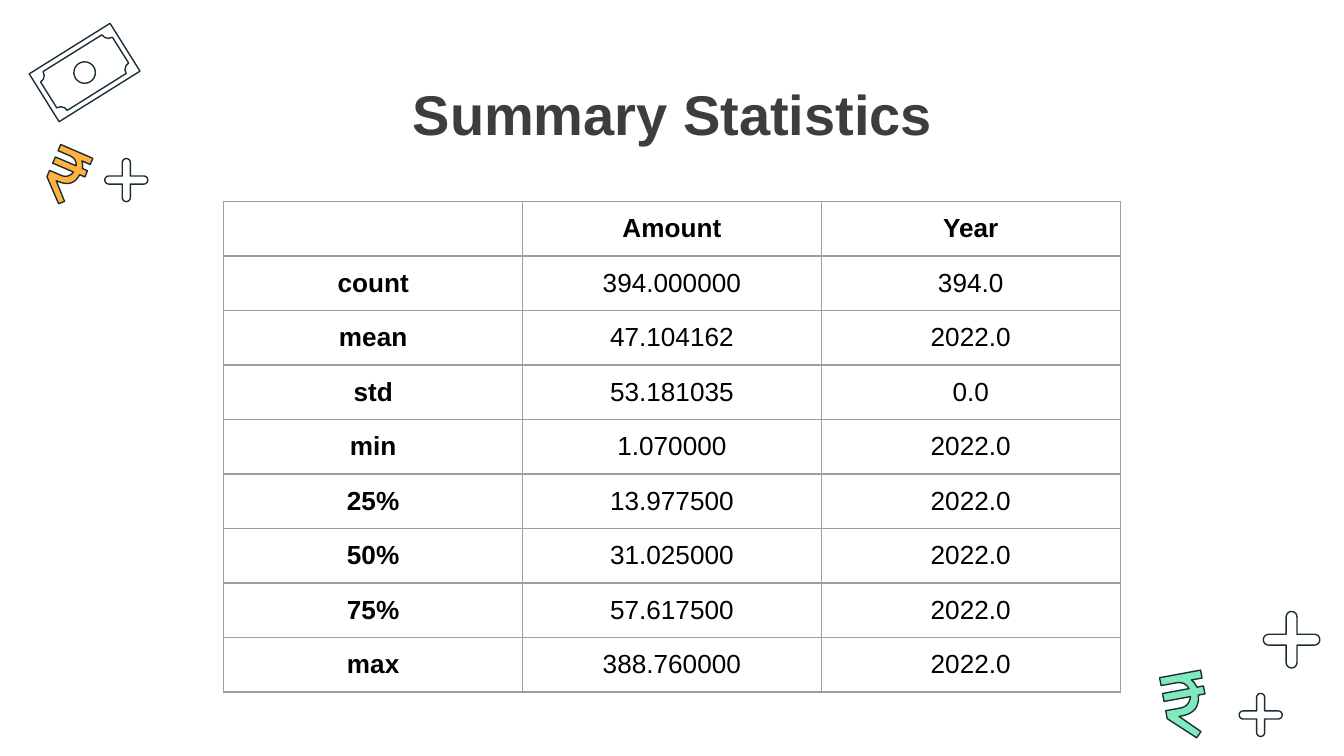
from math import cos, pi, sin

from lxml.etree import SubElement
from pptx import Presentation
from pptx.dml.color import RGBColor
from pptx.enum.shapes import MSO_SHAPE
from pptx.enum.text import MSO_ANCHOR, MSO_AUTO_SIZE, PP_ALIGN
from pptx.oxml.ns import qn
from pptx.util import Inches, Pt

FONT = "Arial"
INK = "1A2E35"
GREY = "9E9E9E"
ROWS = [
    ("", "Amount", "Year"),
    ("count", "394.000000", "394.0"),
    ("mean", "47.104162", "2022.0"),
    ("std", "53.181035", "0.0"),
    ("min", "1.070000", "2022.0"),
    ("25%", "13.977500", "2022.0"),
    ("50%", "31.025000", "2022.0"),
    ("75%", "57.617500", "2022.0"),
    ("max", "388.760000", "2022.0"),
]


def color(value):
    """Turn a hex string into a colour."""
    return RGBColor.from_string(value)


def style_paragraph(para, size, hex_color, bold):
    """Centre a paragraph and set its font."""
    para.alignment = PP_ALIGN.CENTER
    para.font.name = FONT
    para.font.size = Pt(size)
    para.font.bold = bold
    para.font.color.rgb = color(hex_color)


def style_shape(shape, fill=None):
    """Give a shape a thin dark outline and an optional fill."""
    shape.shadow.inherit = False
    if fill:
        shape.fill.solid()
        shape.fill.fore_color.rgb = color(fill)
    else:
        shape.fill.background()
    shape.line.color.rgb = color(INK)
    shape.line.width = Pt(0.75)


def add_outline(page, points, fill=None):
    """Draw a closed outline through points given in inches."""
    corners = [(Inches(x), Inches(y)) for x, y in points]
    builder = page.shapes.build_freeform(*corners[0])
    builder.add_line_segments(corners[1:], close=True)
    shape = builder.convert_to_shape()
    style_shape(shape, fill)
    return shape


def curve(start, control, end, steps=8):
    """Return points along a quadratic curve."""
    return [
        tuple(
            (1 - t) ** 2 * a + 2 * t * (1 - t) * b + t**2 * c
            for a, b, c in zip(start, control, end)
        )
        for t in (step / steps for step in range(steps + 1))
    ]


def add_plus(page, center_x, center_y, reach, radius):
    """Draw a plus sign whose four arms have round ends."""
    points = []
    for quarter in range(4):
        turn = quarter * pi / 2
        arm = [
            (reach - radius + radius * cos(angle), radius * sin(angle))
            for angle in (pi * (step / 12 - 0.5) for step in range(13))
        ]
        for x, y in arm + [(radius, radius)]:
            points.append((
                center_x + x * cos(turn) - y * sin(turn),
                center_y + x * sin(turn) + y * cos(turn),
            ))
    add_outline(page, points)


def add_rupee(page, left, top, scale, rotation, fill):
    """Draw a rupee sign from its upright outline and rotate it."""
    outline = [
        (0, 0), (0, 0.06),
        *curve((0.11, 0.06), (0.18, 0.06), (0.2, 0.12)),
        (0, 0.12), (0, 0.18),
        *curve((0.2, 0.18), (0.18, 0.25), (0.11, 0.25)),
        (0, 0.25), (0, 0.31), (0.19, 0.49), (0.23, 0.45), (0.09, 0.31),
        *curve((0.11, 0.31), (0.25, 0.31), (0.26, 0.18)),
        (0.31, 0.18), (0.31, 0.12),
        *curve((0.26, 0.12), (0.25, 0.08), (0.23, 0.06)),
        (0.31, 0.06), (0.31, 0),
    ]
    points = [(left + x * scale, top + y * scale) for x, y in outline]
    add_outline(page, points, fill).rotation = rotation


def add_banknote(page, center_x, center_y, rotation):
    """Draw a banknote as a frame, a notched inner frame and a disc."""
    for kind, width, height in (
        (MSO_SHAPE.RECTANGLE, 0.71, 0.42),
        (MSO_SHAPE.PLAQUE, 0.63, 0.34),
        (MSO_SHAPE.OVAL, 0.16, 0.16),
    ):
        shape = page.shapes.add_shape(
            kind,
            Inches(center_x - width / 2), Inches(center_y - height / 2),
            Inches(width), Inches(height),
        )
        style_shape(shape)
        shape.rotation = rotation


def set_title(page, text):
    """Place and format the title placeholder."""
    title = page.shapes.title
    title.left, title.top = Inches(0.79), Inches(0.49)
    title.width, title.height = Inches(8.43), Inches(0.63)
    frame = title.text_frame
    frame.text = text
    frame.word_wrap = True
    frame.auto_size = MSO_AUTO_SIZE.NONE
    frame.vertical_anchor = MSO_ANCHOR.TOP
    frame.margin_left = frame.margin_right = Inches(0.1)
    frame.margin_top = frame.margin_bottom = Inches(0.1)
    style_paragraph(frame.paragraphs[0], 30, "3D3D3D", True)


def add_borders(cell):
    """Line all four sides of a cell."""
    properties = cell._tc.get_or_add_tcPr()
    for side in ("lnL", "lnR", "lnT", "lnB"):
        line = SubElement(properties, qn(f"a:{side}"), w=str(Pt(0.75)))
        fill = SubElement(line, qn("a:solidFill"))
        SubElement(fill, qn("a:srgbClr"), val=GREY)


def add_statistics_table(page, slide_width):
    """Add the centred table with bold labels in its first row and column."""
    width = Inches(6.67)
    table = page.shapes.add_table(
        len(ROWS), len(ROWS[0]),
        (slide_width - width) // 2, Inches(1.5), width, Inches(3.65),
    ).table
    table.first_row = table.horz_banding = False
    for row, values in enumerate(ROWS):
        for column, value in enumerate(values):
            cell = table.cell(row, column)
            cell.text = value
            cell.vertical_anchor = MSO_ANCHOR.MIDDLE
            add_borders(cell)
            cell.fill.background()
            para = cell.text_frame.paragraphs[0]
            style_paragraph(para, 14, "000000", row == 0 or column == 0)


def main():
    """Build the slide and save the deck."""
    deck = Presentation()
    deck.slide_width = Inches(10)
    deck.slide_height = deck.slide_width * 9 // 16
    page = deck.slides.add_slide(deck.slide_layouts[5])
    add_plus(page, 9.61, 4.76, 0.21, 0.04)
    add_rupee(page, 8.67, 5.01, 1, 349.5, "81EABC")
    add_rupee(page, 0.36, 1.11, 0.84, 23.2, "FFB23E")
    add_plus(page, 9.38, 5.32, 0.16, 0.03)
    add_banknote(page, 0.63, 0.54, 328)
    set_title(page, "Summary Statistics")
    add_plus(page, 0.94, 1.34, 0.16, 0.03)
    add_statistics_table(page, deck.slide_width)
    deck.save("out.pptx")


if __name__ == "__main__":
    main()
